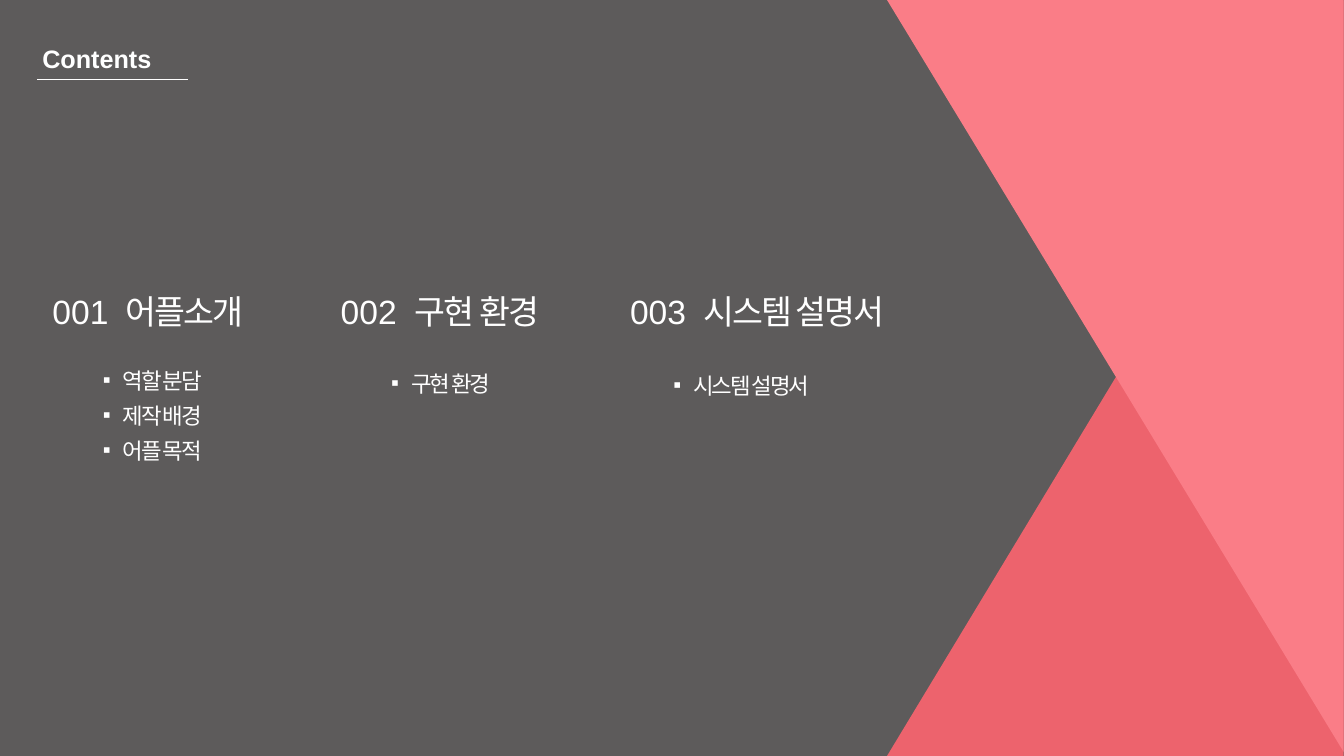
from lxml import etree
from pptx import Presentation
from pptx import util as u
from pptx.dml.color import RGBColor
from pptx.enum import shapes, text
from pptx.oxml.ns import qn

GREY = RGBColor(0x5D, 0x5B, 0x5B)
ROSE = RGBColor(0xED, 0x63, 0x6D)
PINK = RGBColor(0xFA, 0x7D, 0x87)
WHITE = RGBColor(0xFF, 0xFF, 0xFF)
PX = 9144
WIDTH, HEIGHT = 1333, 750
LATIN, KOREAN = "Arial", "Noto Sans CJK KR"
HEADING_TOP = 284
SECTIONS = [
    ("001", 47, [("어플소개", KOREAN)], 166, (97, 351, 472, 112),
     ["역할 분담", "제작 배경", "어플 목적"]),
    ("002", 333, [("구현 ", LATIN), ("환경", KOREAN)], 144, (383, 354, 275, 42),
     ["구현 환경"]),
    ("003", 620, [("시스템 설명서", LATIN)], 252, (663, 356, 341, 42),
     ["시스템 설명서"]),
]


class Painter:
    """Holds the slide style and draws each kind of element on the page."""

    def __init__(self, deck):
        self.page = deck.slides.add_slide(deck.slide_layouts[6])
        fill = self.page.background.fill
        fill.solid()
        fill.fore_color.rgb = GREY

    def box(self, left, top, width, height, wrap=False):
        """Add an empty text box and return its frame."""
        box = self.page.shapes.add_textbox(*(n * PX for n in (left, top, width, height)))
        frame = box.text_frame
        style = {"word_wrap": wrap, "auto_size": text.MSO_AUTO_SIZE.SHAPE_TO_FIT_TEXT}
        sides = ("left", "top", "right", "bottom")
        style.update({f"margin_{side}": 5 * PX for side in sides})
        for name, value in style.items():
            setattr(frame, name, value)
        return frame

    def span(self, para, words, size, face=LATIN, bold=False, spacing=0):
        """Add one styled run to a paragraph."""
        span = para.add_run()
        span.text = words
        style = {"size": u.Pt(size), "name": face, "bold": bold}
        for name, value in style.items():
            setattr(span.font, name, value)
        span.font.color.rgb = WHITE
        props = span.font._element
        etree.SubElement(props, qn("a:ea")).set("typeface", KOREAN)
        if spacing:
            props.set("spc", str(spacing))

    def heading(self, spot, spans, size=24, **style):
        """Add a single line made of (words, face) spans."""
        para = self.box(*spot).paragraphs[0]
        for words, face in spans:
            self.span(para, words, size, face, **style)

    def bullets(self, spot, items):
        """Add a list with square bullets."""
        frame = self.box(*spot, wrap=True)
        for index, item in enumerate(items):
            para = frame.add_paragraph() if index else frame.paragraphs[0]
            para.line_spacing = 1.3
            props = para._p.get_or_add_pPr()
            props.set("marL", str(20 * PX))
            props.set("indent", str(-20 * PX))
            etree.SubElement(props, qn("a:buFont")).set("typeface", LATIN)
            etree.SubElement(props, qn("a:buChar")).set("char", "▪")
            self.span(para, item, 16, KOREAN, spacing=-150)

    def polygon(self, points, color):
        """Add a filled outline without a border."""
        builder = self.page.shapes.build_freeform(*points[0], scale=PX)
        builder.add_line_segments(points[1:], close=True)
        shape = builder.convert_to_shape()
        shape.shadow.inherit = False
        shape.fill.solid()
        shape.fill.fore_color.rgb = color
        shape.line.fill.background()

    def rule(self, left, right, top):
        """Add a thin horizontal line."""
        line = self.page.shapes.add_connector(
            shapes.MSO_CONNECTOR.STRAIGHT, *(n * PX for n in (left, top, right, top)))
        line.line.color.rgb = WHITE
        line.line.width = u.Pt(0.5)
        etree.SubElement(line._element.spPr, qn("a:effectLst"))


def main():
    """Build the contents slide."""
    deck = Presentation()
    deck.slide_width, deck.slide_height = u.Inches(13.333), HEIGHT * PX
    painter = Painter(deck)
    painter.heading((37, 38, 120, 38), [("Contents", LATIN)], 18, bold=True)
    for number, left, title, width, spot, items in SECTIONS:
        painter.heading((left, HEADING_TOP, 81, 85), [(number, LATIN)])
        painter.heading((left + 73, HEADING_TOP, width, 85), title, spacing=-150)
        painter.bullets(spot, items)
    painter.polygon([(WIDTH, HEIGHT), (880, HEIGHT), (WIDTH, 0)], ROSE)
    painter.polygon([(WIDTH, 0), (880, 0), (WIDTH, 746)], PINK)
    painter.rule(37, 187, 79)
    deck.save("out.pptx")


if __name__ == "__main__":
    main()
